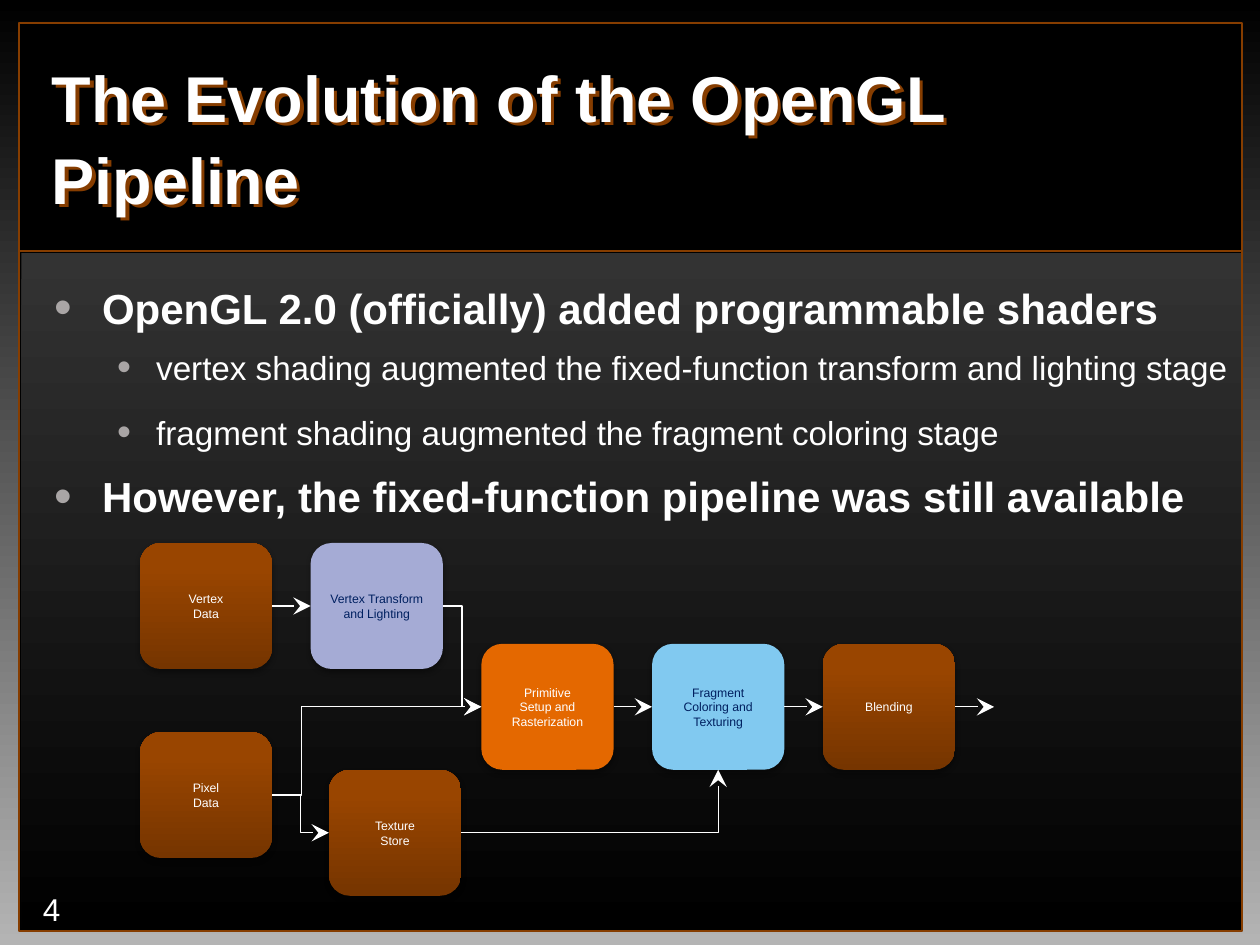
from lxml.etree import SubElement
from pptx import Presentation
from pptx.dml.color import RGBColor
from pptx.enum.shapes import MSO_CONNECTOR, MSO_SHAPE
from pptx.enum.text import MSO_ANCHOR, MSO_AUTO_SIZE, PP_ALIGN
from pptx.oxml.ns import qn
from pptx.util import Inches, Pt

BLACK = RGBColor(0x00, 0x00, 0x00)
WHITE = RGBColor(0xFF, 0xFF, 0xFF)
SILVER = RGBColor(0xB4, 0xB4, 0xB4)
CHARCOAL = RGBColor(0x33, 0x33, 0x33)
BULLET_GRAY = RGBColor(0xA9, 0xA5, 0xA5)
BROWN = RGBColor(0x86, 0x3D, 0x00)
DARK_RUST = RGBColor(0x76, 0x35, 0x00)
RUST = RGBColor(0x99, 0x45, 0x00)
ORANGE = RGBColor(0xE4, 0x68, 0x00)
SKY = RGBColor(0x81, 0xC9, 0xF0)
LAVENDER = RGBColor(0xA5, 0xAB, 0xD5)
NAVY = RGBColor(0x00, 0x20, 0x60)


def fill_gradient(fill, first, last, angle, end=1.0):
    fill.gradient()
    fill.gradient_angle = angle
    for stop, color, position in zip(fill.gradient_stops, (first, last), (0, end)):
        stop.color.rgb = color
        stop.position = position


def add_shadow(shape, color, opacity, blur, distance, degrees):
    shape.shadow.inherit = False
    effects = shape._element.spPr.find(qn("a:effectLst"))
    shadow = SubElement(effects, qn("a:outerShdw"), blurRad=str(Pt(blur)),
                        dist=str(Pt(distance)), dir=str(degrees * 60000),
                        algn="ctr", rotWithShape="0")
    tint = SubElement(shadow, qn("a:srgbClr"), val=str(color))
    SubElement(tint, qn("a:alpha"), val=str(opacity * 1000))


deck = Presentation()
deck.slide_width, deck.slide_height = Inches(10), Inches(7.5)
page = deck.slides.add_slide(deck.slide_layouts[1])
fill_gradient(page.background.fill, BLACK, SILVER, 270)

# Frame, content panel and the rule between title and content
frame = page.shapes.add_shape(MSO_SHAPE.RECTANGLE, Inches(0.15), Inches(0.18),
                              Inches(9.71), Inches(7.21))
frame.shadow.inherit = False
frame.fill.solid()
frame.fill.fore_color.rgb = BLACK
frame.line.color.rgb = BROWN
frame.line.width = Pt(1.25)

panel = page.shapes.add_shape(MSO_SHAPE.RECTANGLE, Inches(0.17), Inches(2.01),
                              Inches(9.68), Inches(5.36))
panel.shadow.inherit = False
fill_gradient(panel.fill, CHARCOAL, BLACK, 270)
panel.line.fill.background()

rule = page.shapes.add_connector(MSO_CONNECTOR.STRAIGHT, Inches(0.15), Inches(1.99),
                                 Inches(9.86), Inches(1.99))
rule.line.color.rgb = BROWN
rule.line.width = Pt(1)
SubElement(rule._element.spPr, qn("a:effectLst"))

# Page number
number = page.shapes.add_textbox(Inches(0.34), Inches(7.1), Inches(0.24), Inches(0.23))
number_format = {"margin_left": 0, "margin_right": 0, "margin_top": 0, "margin_bottom": 0,
                 "word_wrap": True, "vertical_anchor": MSO_ANCHOR.MIDDLE}
for name, value in number_format.items():
    setattr(number.text_frame, name, value)
number.text_frame.text = "4"
number_font = number.text_frame.paragraphs[0].font
number_font.name, number_font.size = "Arial", Pt(18)
number_font.color.rgb = WHITE

# Title
title, body = page.shapes.title, page.placeholders[1]
places = [(title, (0.31, 0.32, 8.13, 1.51)), (body, (0.33, 2.19, 9.67, 2.1))]
for holder, place in places:
    holder.left, holder.top, holder.width, holder.height = map(Inches, place)
    holder.text_frame.auto_size = MSO_AUTO_SIZE.NONE
    page.shapes._spTree.append(holder._element)  # bring in front of the panel

title.text_frame.text = "The Evolution of the OpenGL Pipeline"
title.text_frame.vertical_anchor = MSO_ANCHOR.MIDDLE
title.fill.background()
add_shadow(title, BROWN, 100, 0, 2.8, 45)
heading = title.text_frame.paragraphs[0]
heading.alignment, heading.line_spacing = PP_ALIGN.LEFT, 1.05
for name, value in {"name": "Arial", "size": Pt(37), "bold": True}.items():
    setattr(heading.font, name, value)
heading.font.color.rgb = WHITE

# Bullet list
points = [
    (0, "OpenGL 2.0 (officially) added programmable shaders"),
    (1, "vertex shading augmented the fixed-function transform and lighting stage"),
    (1, "fragment shading augmented the fragment coloring stage"),
    (0, "However, the fixed-function pipeline was still available"),
]
level_formats = [
    {"indent": (0.38, -0.38), "size": 24, "bold": True, "line": 1.0, "before": 4.8, "after": 0},
    {"indent": (0.81, -0.31), "size": 19, "bold": False, "line": 1.1, "before": 6, "after": 6},
]
for index, (level, text) in enumerate(points):
    style = level_formats[level]
    para = body.text_frame.add_paragraph() if index else body.text_frame.paragraphs[0]
    para.text, para.level = text, level
    para.line_spacing = style["line"]
    para.space_before = Pt(style["before"] if index else 0)
    para.space_after = Pt(style["after"])
    props = para._p.get_or_add_pPr()
    margin, indent = style["indent"]
    props.set("marL", str(Inches(margin)))
    props.set("indent", str(Inches(indent)))
    SubElement(SubElement(props, qn("a:buClr")), qn("a:srgbClr"), val=str(BULLET_GRAY))
    SubElement(props, qn("a:buSzPct"), val="120000")
    SubElement(props, qn("a:buFont"), typeface="Arial")
    SubElement(props, qn("a:buChar"), char="•")
    for name, value in {"name": "Arial", "size": Pt(style["size"]), "bold": style["bold"]}.items():
        setattr(para.font, name, value)
    para.font.color.rgb = WHITE

# Pipeline stages: text, left, top, fill (None for the rust gradient), text colour
columns = [1.11 + 1.355 * column for column in range(5)]
stages = {
    "primitive": ("Primitive\nSetup and Rasterization", columns[2], 5.11, ORANGE, WHITE),
    "fragment": ("Fragment Coloring and Texturing", columns[3], 5.11, SKY, NAVY),
    "blending": ("Blending", columns[4], 5.11, None, WHITE),
    "vertex": ("Vertex\vData", columns[0], 4.31, None, WHITE),
    "pixel": ("Pixel\vData", columns[0], 5.81, None, WHITE),
    "transform": ("Vertex Transform and Lighting", columns[1], 4.31, LAVENDER, NAVY),
    "texture": ("Texture\vStore", 2.61, 6.11, None, WHITE),
}
boxes = {}
for stage, (text, left, top, color, ink) in stages.items():
    box = page.shapes.add_shape(MSO_SHAPE.ROUNDED_RECTANGLE, Inches(left), Inches(top),
                                Inches(1.05), Inches(1))
    boxes[stage] = box
    if color is None:
        fill_gradient(box.fill, DARK_RUST, RUST, 90, 0.8)
    else:
        box.fill.solid()
        box.fill.fore_color.rgb = color
    box.line.fill.background()
    add_shadow(box, BLACK, 35, 3.1, 1.8, 90)
    box.text_frame.text = text
    box.text_frame.vertical_anchor = MSO_ANCHOR.MIDDLE
    box.text_frame.margin_left = box.text_frame.margin_right = Inches(0.08)
    for para in box.text_frame.paragraphs:
        para.alignment = PP_ALIGN.CENTER
        para.font.name, para.font.size = "Arial", Pt(7)
        para.font.color.rgb = ink

# Arrows leave on the right and enter at the left or the bottom: from, to, site, bend
LEFT, BOTTOM, RIGHT = 1, 2, 3
arrows = [
    ("vertex", "transform", LEFT, None),
    ("transform", "primitive", LEFT, 0.5),
    ("pixel", "primitive", LEFT, 0.14),
    ("pixel", "texture", LEFT, 0.5),
    ("texture", "fragment", BOTTOM, None),
    ("primitive", "fragment", LEFT, None),
    ("fragment", "blending", LEFT, None),
    ("blending", None, None, None),
]
for source, target, site, bend in arrows:
    start = boxes[source]
    start_x, start_y = start.left + start.width, start.top + start.height // 2
    straight = bend is None and site != BOTTOM
    kind = MSO_CONNECTOR.STRAIGHT if straight else MSO_CONNECTOR.ELBOW
    arrow = page.shapes.add_connector(kind, start_x, start_y, start_x + Inches(0.31), start_y)
    arrow.begin_connect(start, RIGHT)
    if target:
        arrow.end_connect(boxes[target], site)
    geometry = arrow._element.spPr.find(qn("a:prstGeom"))
    if site == BOTTOM:
        geometry.set("prst", "bentConnector2")
    elif bend:
        SubElement(geometry.get_or_add_avLst(), qn("a:gd"), name="adj1",
                   fmla=f"val {round(bend * 100000)}")
    arrow.line.color.rgb = WHITE
    arrow.line.width = Pt(0.75)
    SubElement(arrow.line._get_or_add_ln(), qn("a:tailEnd"), type="stealth", w="lg", len="lg")
    SubElement(arrow._element.spPr, qn("a:effectLst"))

deck.save("out.pptx")
